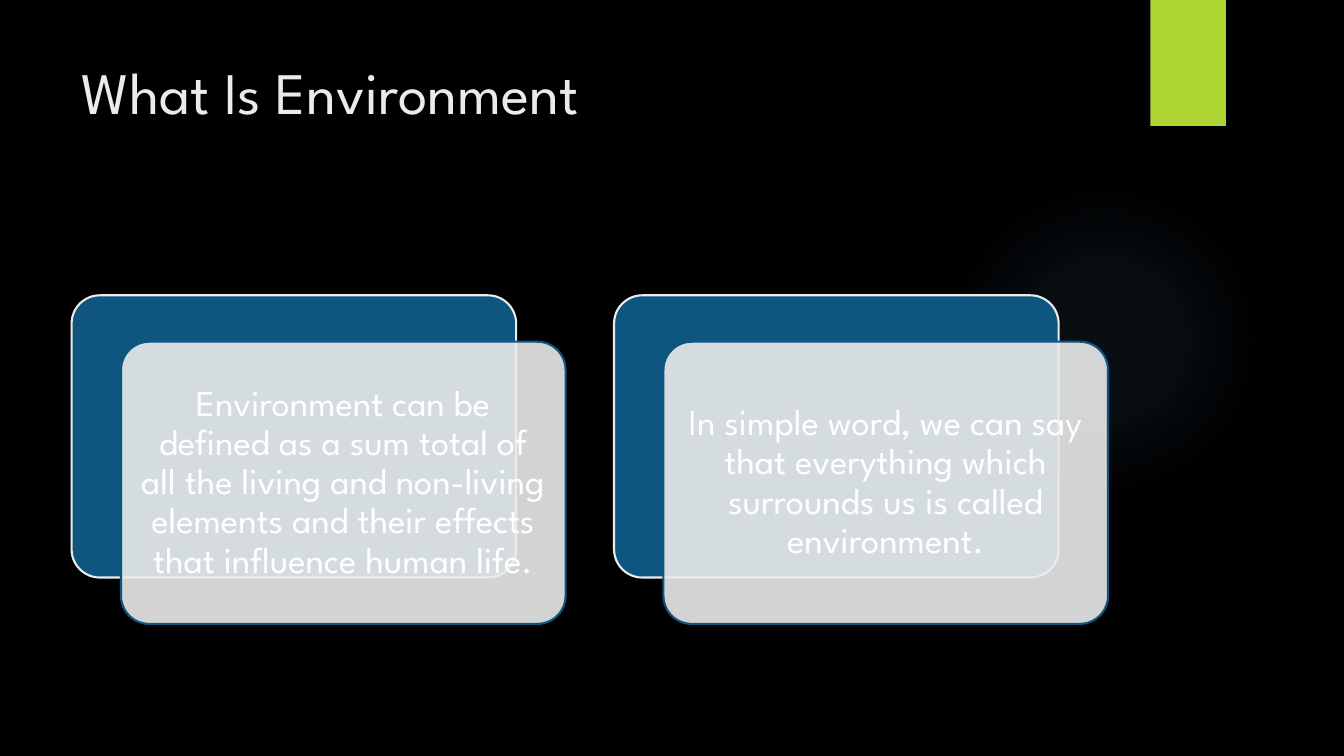
import dataclasses

import lxml.etree
import pptx
import pptx.dml.color
import pptx.enum.shapes
import pptx.enum.text
import pptx.oxml
import pptx.oxml.ns
import pptx.util

Inches = pptx.util.Inches
Pt = pptx.util.Pt
SHAPE = pptx.enum.shapes.MSO_SHAPE
ANCHOR = pptx.enum.text.MSO_ANCHOR
ALIGN = pptx.enum.text.PP_ALIGN
qn = pptx.oxml.ns.qn


@dataclasses.dataclass(frozen=True)
class Theme:
    font: str = "League Spartan"
    background: str = "000000"
    light: str = "EBEBEB"
    blue: str = "0E5580"
    green: str = "ACD433"
    glow: str = "7AC4F0"
    white: str = "FFFFFF"
    title_size: int = 42
    body_size: int = 26


THEME = Theme()
CARD_W, CARD_H = 4.41, 2.8
CARD_LEFT, CARD_TOP, CARD_PITCH = 0.71, 2.93, 5.38
FRONT_DX, FRONT_DY = 0.49, 0.46
DEFINITIONS = (
    "Environment can be defined as a sum total of all the living and "
    "non-living elements and their effects that influence human life.",
    "In simple word, we can say that everything which surrounds us is "
    "called environment.",
)


def rgb(color):
    return pptx.dml.color.RGBColor.from_string(color)


def write_text(sp, text, size, color, align=ALIGN.LEFT, anchor=ANCHOR.TOP,
               inset=(0.1, 0.05), line_spacing=1.0):
    tf = sp.text_frame
    tf.word_wrap = True
    tf.auto_size = pptx.enum.text.MSO_AUTO_SIZE.NONE
    tf.vertical_anchor = anchor
    tf.margin_left = tf.margin_right = Inches(inset[0])
    tf.margin_top = tf.margin_bottom = Inches(inset[1])
    p = tf.paragraphs[0]
    p.alignment = align
    p.line_spacing = line_spacing
    r = p.add_run()
    r.text = text
    r.font.name = THEME.font
    r.font.size = Pt(size)
    r.font.color.rgb = rgb(color)


def add_block(slide, kind, left, top, width, height, fill, line=None, alpha=None):
    sp = slide.shapes.add_shape(
        kind, Inches(left), Inches(top), Inches(width), Inches(height))
    sp.shadow.inherit = False
    sp.fill.solid()
    sp.fill.fore_color.rgb = rgb(fill)
    if alpha is not None:
        clr = sp.fill._xPr.find(qn("a:solidFill")).find(qn("a:srgbClr"))
        lxml.etree.SubElement(clr, qn("a:alpha"), val=str(alpha * 1000))
    if line:
        sp.line.color.rgb = rgb(line)
        sp.line.width = Pt(1.5)
    else:
        sp.line.fill.background()
    return sp


def add_glow(slide):
    sp = add_block(slide, SHAPE.OVAL, 9.41, 1.83, 3.08, 3.08, THEME.glow)
    stops = "".join(
        f'<a:gs pos="{pos * 1000}"><a:srgbClr val="{THEME.glow}">'
        f'<a:alpha val="{alpha * 1000}"/></a:srgbClr></a:gs>'
        for pos, alpha in ((0, 7), (36, 6), (69, 0)))
    gradient = pptx.oxml.parse_xml(
        f'<a:gradFill {pptx.oxml.ns.nsdecls("a")} rotWithShape="1">'
        f'<a:gsLst>{stops}</a:gsLst><a:path path="circle">'
        '<a:fillToRect l="50000" t="50000" r="50000" b="50000"/>'
        '</a:path></a:gradFill>')
    props = sp.fill._xPr
    props.replace(props.find(qn("a:solidFill")), gradient)


def add_title(slide, text):
    sp = slide.shapes.title
    sp.left, sp.top = Inches(0.71), Inches(0.5)
    sp.width, sp.height = Inches(10.29), Inches(1.53)
    write_text(sp, text, THEME.title_size, THEME.light)


def add_card(slide, left, text):
    back = add_block(slide, SHAPE.ROUNDED_RECTANGLE, left, CARD_TOP,
                     CARD_W, CARD_H, THEME.blue, line=THEME.light)
    front = add_block(slide, SHAPE.ROUNDED_RECTANGLE, left + FRONT_DX,
                      CARD_TOP + FRONT_DY, CARD_W, CARD_H, THEME.light,
                      line=THEME.blue, alpha=90)
    for sp in (back, front):
        sp.adjustments[0] = 0.1
    write_text(front, text, THEME.body_size, THEME.white, align=ALIGN.CENTER,
               anchor=ANCHOR.MIDDLE, inset=(0.11, 0.11), line_spacing=0.9)


def main():
    prs = pptx.Presentation()
    prs.slide_width, prs.slide_height = Inches(13.33), Inches(7.5)
    slide = prs.slides.add_slide(prs.slide_layouts.get_by_name("Title Only"))
    slide.background.fill.solid()
    slide.background.fill.fore_color.rgb = rgb(THEME.background)

    # Backdrop: soft glow and green tab
    add_glow(slide)
    add_block(slide, SHAPE.RECTANGLE, 11.41, 0, 0.75, 1.25, THEME.green)

    # Title and definition cards
    add_title(slide, "What Is Environment")
    for i, text in enumerate(DEFINITIONS):
        add_card(slide, CARD_LEFT + i * CARD_PITCH, text)

    prs.save("out.pptx")


if __name__ == "__main__":
    main()
